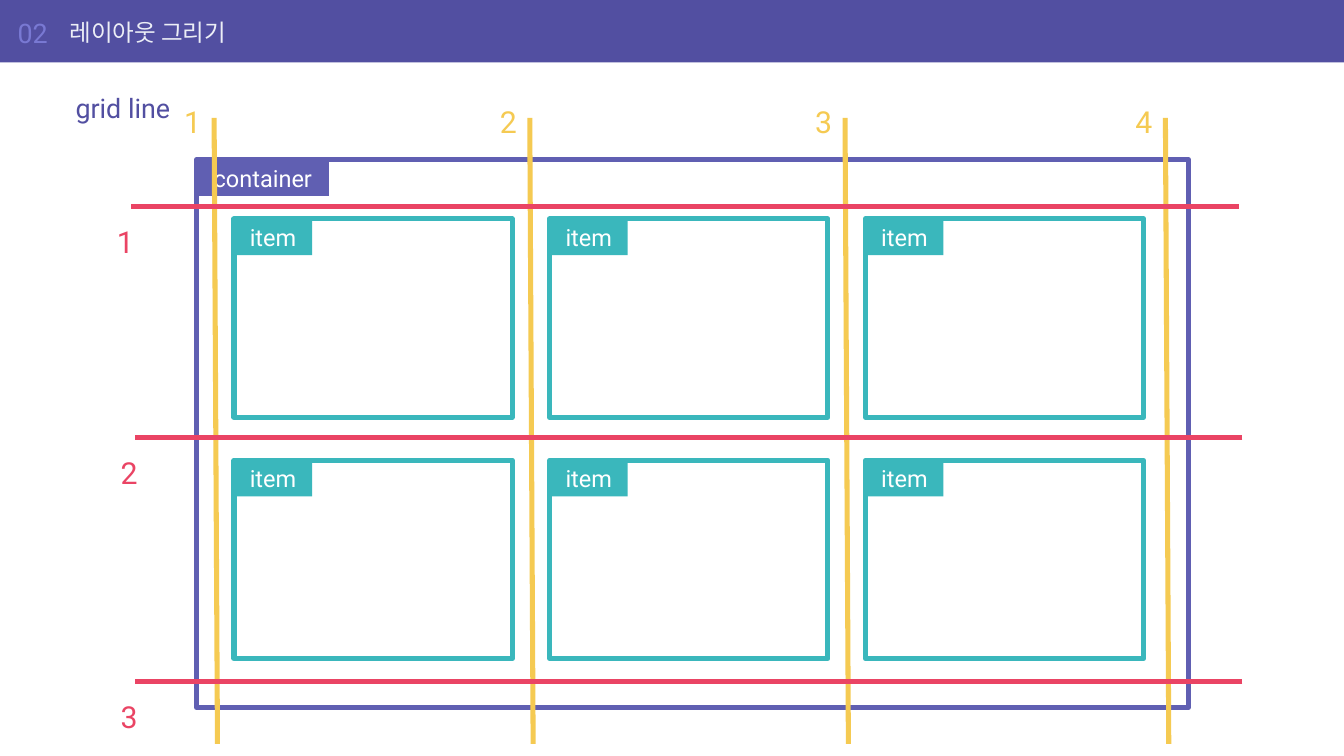
from lxml import etree
from pptx import Presentation
from pptx.dml.color import RGBColor
from pptx.enum.shapes import MSO_CONNECTOR, MSO_SHAPE
from pptx.enum.text import MSO_ANCHOR, MSO_AUTO_SIZE, PP_ALIGN
from pptx.oxml.ns import qn
from pptx.util import Pt

RECTANGLE = MSO_SHAPE.RECTANGLE
STRAIGHT = MSO_CONNECTOR.STRAIGHT
TOP, MIDDLE = MSO_ANCHOR.TOP, MSO_ANCHOR.MIDDLE
LEFT, CENTER = PP_ALIGN.LEFT, PP_ALIGN.CENTER
GROW = MSO_AUTO_SIZE.SHAPE_TO_FIT_TEXT

INDIGO, VIOLET, TEAL = "524FA1", "605FB2", "3AB7BC"
YELLOW, RED, WHITE = "F5CA52", "EA4464", "FFFFFF"
STROKE = 6
TAG_HEIGHT = 43.2
ITEM_LEFT, ITEM_TOP, ITEM_WIDTH, ITEM_HEIGHT = 278.6, 260.6, 331.2, 236.2
COLUMN_STEP, ROW_STEP = 375.84, 287.3
COLUMN_LINES = (254.9, 630.7, 1006, 1387.4)
ROW_LINES = ((156.2, 246.2), (160.6, 521.3), (160.6, 811.4))


def color(hex_value):
    """Turn a hex string into a colour."""
    return RGBColor.from_string(hex_value)


def write(frame, text, *, size, ink, align=LEFT, anchor=TOP,
          insets=(7.2, 3.6, 7.2, 3.6), spacing=None):
    """Put one formatted paragraph into a text frame."""
    frame.word_wrap = True
    frame.vertical_anchor = anchor
    (frame.margin_left, frame.margin_top,
     frame.margin_right, frame.margin_bottom) = map(Pt, insets)
    paragraph = frame.paragraphs[0]
    paragraph.alignment = align
    if spacing:
        paragraph.line_spacing = spacing
    run = paragraph.add_run()
    run.text = text
    run.font.name = "Roboto"
    run.font.size = Pt(size)
    run.font.color.rgb = color(ink)


def add_label(slide, text, left, top, width, height, **style):
    """Add a text box with one line of text."""
    label = slide.shapes.add_textbox(Pt(left), Pt(top), Pt(width), Pt(height))
    write(label.text_frame, text, **style)


def add_rectangle(slide, left, top, width, height, *, fill=None, outline=None):
    """Add a rectangle that is either filled or outlined."""
    rectangle = slide.shapes.add_shape(
        RECTANGLE, Pt(left), Pt(top), Pt(width), Pt(height))
    rectangle.shadow.inherit = False
    if fill:
        rectangle.fill.solid()
        rectangle.fill.fore_color.rgb = color(fill)
    else:
        rectangle.fill.background()
    if outline:
        rectangle.line.color.rgb = color(outline)
        rectangle.line.width = Pt(STROKE)
    else:
        rectangle.line.fill.background()
    return rectangle


def add_tagged_box(slide, name, left, top, width, height, tag_width, hue):
    """Add an outlined box with a name tag in its top left corner."""
    add_rectangle(slide, left, top, width, height, outline=hue)
    tag = add_rectangle(slide, left, top, tag_width, TAG_HEIGHT, fill=hue)
    write(tag.text_frame, name, size=28, ink=WHITE, align=CENTER,
          anchor=MIDDLE, insets=(5, 5, 5, 5))
    tag.text_frame.auto_size = GROW


def add_grid_line(slide, start, end, hue):
    """Add one thick grid line between two points."""
    grid_line = slide.shapes.add_connector(STRAIGHT, *map(Pt, (*start, *end)))
    grid_line.line.color.rgb = color(hue)
    grid_line.line.width = Pt(STROKE)
    etree.SubElement(grid_line._element.spPr, qn("a:effectLst"))


def add_line_number(slide, number, left, top, hue):
    """Add the number of a grid line."""
    add_label(slide, str(number), left, top, 48.2, 72.7,
              size=36, ink=hue, spacing=1.5)


def add_header(slide):
    """Add the title bar and the heading below it."""
    add_rectangle(slide, 0, 0, 1600, 74.2, fill=INDIGO)
    bar_text = {"anchor": MIDDLE, "insets": (0, 3.6, 7.2, 3.6)}
    add_label(slide, "02", 20.9, 10.8, 62.6, 55.4,
              size=32, ink="7979D3", **bar_text)
    add_label(slide, "레이아웃 그리기", 82.8, 10.8, 1352.2, 55.4,
              size=28, ink="ECEEF6", **bar_text)
    add_label(slide, "grid line", 82.8, 100.8, 1434.2, 55.4,
              size=32, ink=INDIGO, anchor=MIDDLE)


def main():
    """Build the grid line slide."""
    deck = Presentation()
    deck.slide_width, deck.slide_height = Pt(1600), Pt(900)
    slide = deck.slides.add_slide(deck.slide_layouts[6])
    add_header(slide)
    add_tagged_box(slide, "container", 234, 190.1, 1180.8, 652.3, 157.7, VIOLET)
    for row in range(2):
        for column in range(3):
            add_tagged_box(slide, "item", ITEM_LEFT + column * COLUMN_STEP,
                           ITEM_TOP + row * ROW_STEP,
                           ITEM_WIDTH, ITEM_HEIGHT, 92.9, TEAL)
    for number, x in enumerate(COLUMN_LINES, 1):
        add_grid_line(slide, (x, 140.4), (x + 4, 885.6), YELLOW)
        add_line_number(slide, number, x - 42.8, 97.2, YELLOW)
    for number, (x, y) in enumerate(ROW_LINES, 1):
        add_grid_line(slide, (x + 1318.3, y), (x, y), RED)
        add_line_number(slide, number, x - 24.2, y - 5.5, RED)
    deck.save("out.pptx")


if __name__ == "__main__":
    main()
